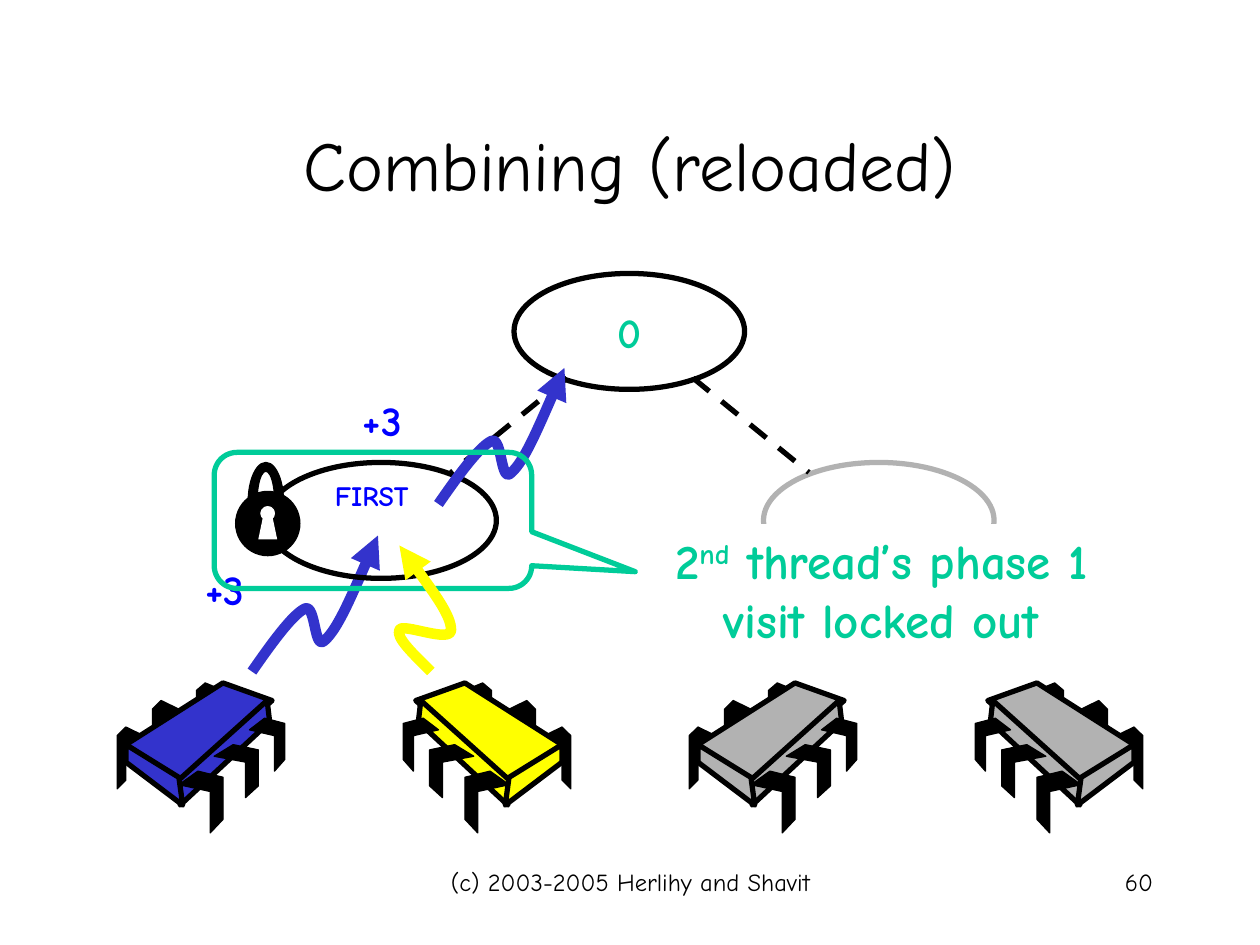
from pptx import Presentation
from pptx.dml.color import RGBColor
from pptx.enum.dml import MSO_LINE
from pptx.enum.shapes import MSO_CONNECTOR, MSO_SHAPE
from pptx.enum.text import MSO_ANCHOR, MSO_AUTO_SIZE, PP_ALIGN
from pptx.oxml.ns import qn
from pptx.util import Inches, Pt
from lxml.etree import SubElement

FONT = "Comic Neue"
BLACK = RGBColor(0, 0, 0)
WHITE = RGBColor(255, 255, 255)
GRAY = RGBColor(0xB2, 0xB2, 0xB2)
NAVY = RGBColor(0x33, 0x33, 0xCC)
BLUE = RGBColor(0, 0, 255)
GREEN = RGBColor(0, 0xCC, 0x99)
YELLOW = RGBColor(255, 255, 0)

BACK_LEG = [(1, 0.14), (0.33, 0), (0, 0.14), (0, 1),
            (0.33, 0.86), (0.33, 0.29), (1, 0.43)]
FRONT_LEG = [(0.43, 0), (0, 0.22), (0.71, 0.33), (0.71, 1), (1, 0.78), (1, 0.1)]
BACK_LEGS = [(0.93, 5.77, 0.21, 0.49), (1.21, 5.56, 0.21, 0.49),
             (1.56, 5.42, 0.21, 0.42)]
FRONT_LEGS = [(1.42, 6.12, 0.35, 0.49), (1.7, 5.91, 0.35, 0.42),
              (1.98, 5.7, 0.28, 0.42)]
FACES = [
    [(1.77, 5.42), (1, 5.91), (1.43, 6.2), (2.16, 5.56)],
    [(2.12, 5.56), (1.42, 6.19), (1.43, 6.39), (2.14, 5.73)],
    [(1, 5.91), (1, 6.05), (1.45, 6.39), (1.42, 6.17)],
]
RISE = [(0, 1.08), (0.16, 0.85), (0.32, 0.63), (0.42, 0.58), (0.51, 0.54),
        (0.49, 0.93), (0.58, 0.83), (0.68, 0.74), (0.84, 0.37), (1, 0)]
SWERVE = [(3.42, 5.33), (3.28, 5.19), (3.14, 5.06), (3.17, 5), (3.19, 4.94),
          (3.58, 5.11), (3.58, 5), (3.58, 4.89), (3.38, 4.61), (3.17, 4.33)]


def paint(shape, fill, line, width):
    shape.shadow.inherit = False
    if fill is None:
        shape.fill.background()
    else:
        shape.fill.solid()
        shape.fill.fore_color.rgb = fill
    if line is None:
        shape.line.fill.background()
    else:
        shape.line.color.rgb = line
        shape.line.width = Pt(width)
    return shape


def preset(shapes, kind, box, fill=None, line=BLACK, width=3):
    shape = shapes.add_shape(kind, *map(Inches, box))
    return paint(shape, fill, line, width)


def outline(shapes, points, fill=None, line=BLACK, width=0.75, close=True):
    spots = [(Inches(x), Inches(y)) for x, y in points]
    pen = shapes.build_freeform(*spots[0], scale=1.0)
    pen.add_line_segments(spots[1:], close=close)
    return paint(pen.convert_to_shape(), fill, line, width)


def arrow(shapes, points, color):
    shape = outline(shapes, points, None, color, 6, close=False)
    route = next(shape._element.iter(qn("a:path")))
    steps = route.findall(qn("a:lnTo"))
    for i in range(0, len(steps), 3):
        curve = SubElement(route, qn("a:cubicBezTo"))
        for step in steps[i:i + 3]:
            curve.append(step[0])
            route.remove(step)
    line = shape.line._get_or_add_ln()
    SubElement(line, qn("a:tailEnd"), type="triangle")


def dash(shapes, start, end):
    ends = map(Inches, start + end)
    line = shapes.add_connector(MSO_CONNECTOR.STRAIGHT, *ends)
    line.line.color.rgb = BLACK
    line.line.width = Pt(3)
    line.line.dash_style = MSO_LINE.DASH
    SubElement(line._element.spPr, qn("a:effectLst"))


def write(shape, parts, size, color=BLACK, bold=False, align=PP_ALIGN.CENTER,
          anchor=MSO_ANCHOR.TOP, wrap=True):
    frame = shape.text_frame
    frame.word_wrap = wrap
    frame.vertical_anchor = anchor
    para = frame.paragraphs[0]
    para.alignment = align
    for part in parts:
        run = para.add_run()
        run.text = part
        run.font.name = FONT
        run.font.size = Pt(size)
        run.font.bold = bold
        run.font.color.rgb = color
    return para


def label(shapes, box, text, size, **style):
    write(shapes.add_textbox(*map(Inches, box)), [text], size, **style)


def tag(shapes, box, text, size):
    shape = shapes.add_textbox(*map(Inches, box))
    write(shape, [text], size, BLUE, True, wrap=False)
    shape.text_frame.auto_size = MSO_AUTO_SIZE.SHAPE_TO_FIT_TEXT


def chip(shapes, color, shift=0, flip=False):
    group = shapes.add_group_shape().shapes
    sign = -1 if flip else 1

    def place(points):
        return [(shift + sign * x, y) for x, y in points]

    def legs(boxes, form):
        for x, y, w, h in boxes:
            outline(group, place([(x + w * u, y + h * v) for u, v in form]), BLACK)

    legs(BACK_LEGS, BACK_LEG)
    for face in FACES:
        outline(group, place(face), color, width=3)
    legs(FRONT_LEGS, FRONT_LEG)


def lock(shapes):
    group = shapes.add_group_shape().shapes
    preset(group, MSO_SHAPE.OVAL, (1.87, 3.9, 0.51, 0.51), BLACK, width=0.75)
    preset(group, MSO_SHAPE.OVAL, (2.06, 4.01, 0.13, 0.13), WHITE, width=0.75)
    slot = [(2.05, 4.28), (2.2, 4.28), (2.16, 4.09), (2.09, 4.09)]
    outline(group, slot, WHITE, None)
    preset(group, MSO_SHAPE.BLOCK_ARC, (1.97, 3.67, 0.28, 0.62), BLACK, width=0.75)


def main():
    deck = Presentation()
    deck.slide_width, deck.slide_height = Inches(10), Inches(7.5)
    shapes = deck.slides.add_slide(deck.slide_layouts[6]).shapes

    label(shapes, (0.75, 0.67, 8.5, 1.25), "Combining (reloaded)", 40,
          anchor=MSO_ANCHOR.MIDDLE)
    root = preset(shapes, MSO_SHAPE.OVAL, (4.08, 2.17, 1.83, 0.92))
    write(root, ["0"], 24, GREEN, True, anchor=MSO_ANCHOR.MIDDLE, wrap=False)
    preset(shapes, MSO_SHAPE.OVAL, (6.06, 3.67, 1.83, 0.92), WHITE, GRAY)

    chip(shapes, NAVY)
    chip(shapes, YELLOW, 5.46, True)
    chip(shapes, GRAY, 4.54)
    chip(shapes, GRAY, 10, True)

    arrow(shapes, [(2 + x, 4.25 + y) for x, y in RISE], NAVY)
    dash(shapes, (4.5, 3), (3.58, 3.75))
    dash(shapes, (5.5, 3), (6.42, 3.75))
    for x, y in ((1.53, 4.42), (2.78, 3.08)):
        tag(shapes, (x, y, 0.51, 0.5), "+3", 24)

    preset(shapes, MSO_SHAPE.OVAL, (2.11, 3.67, 1.83, 0.92))
    arrow(shapes, [(3.48 + x, 2.92 + y) for x, y in RISE], NAVY)
    lock(shapes)
    tag(shapes, (2.54, 3.75, 0.82, 0.37), "FIRST", 16)

    note = preset(shapes, MSO_SHAPE.RECTANGLE, (5.13, 4.16, 3.73, 1.04), WHITE, None)
    para = write(note, ["2", "nd", " thread’s phase 1 visit locked out"], 28, GREEN, True)
    para.runs[1]._r.get_or_add_rPr().set("baseline", "30000")
    call = preset(shapes, MSO_SHAPE.ROUNDED_RECTANGULAR_CALLOUT,
                  (1.7, 3.59, 2.52, 1.08), None, GREEN)
    for i, value in enumerate((0.826, 0.377, 0.167)):
        call.adjustments[i] = value
    arrow(shapes, SWERVE, YELLOW)

    label(shapes, (3.42, 6.83, 3.17, 0.5), "(c) 2003-2005 Herlihy and Shavit", 14)
    label(shapes, (7.17, 6.83, 2.08, 0.5), "60", 14, align=PP_ALIGN.RIGHT)
    deck.save("out.pptx")


if __name__ == "__main__":
    main()
